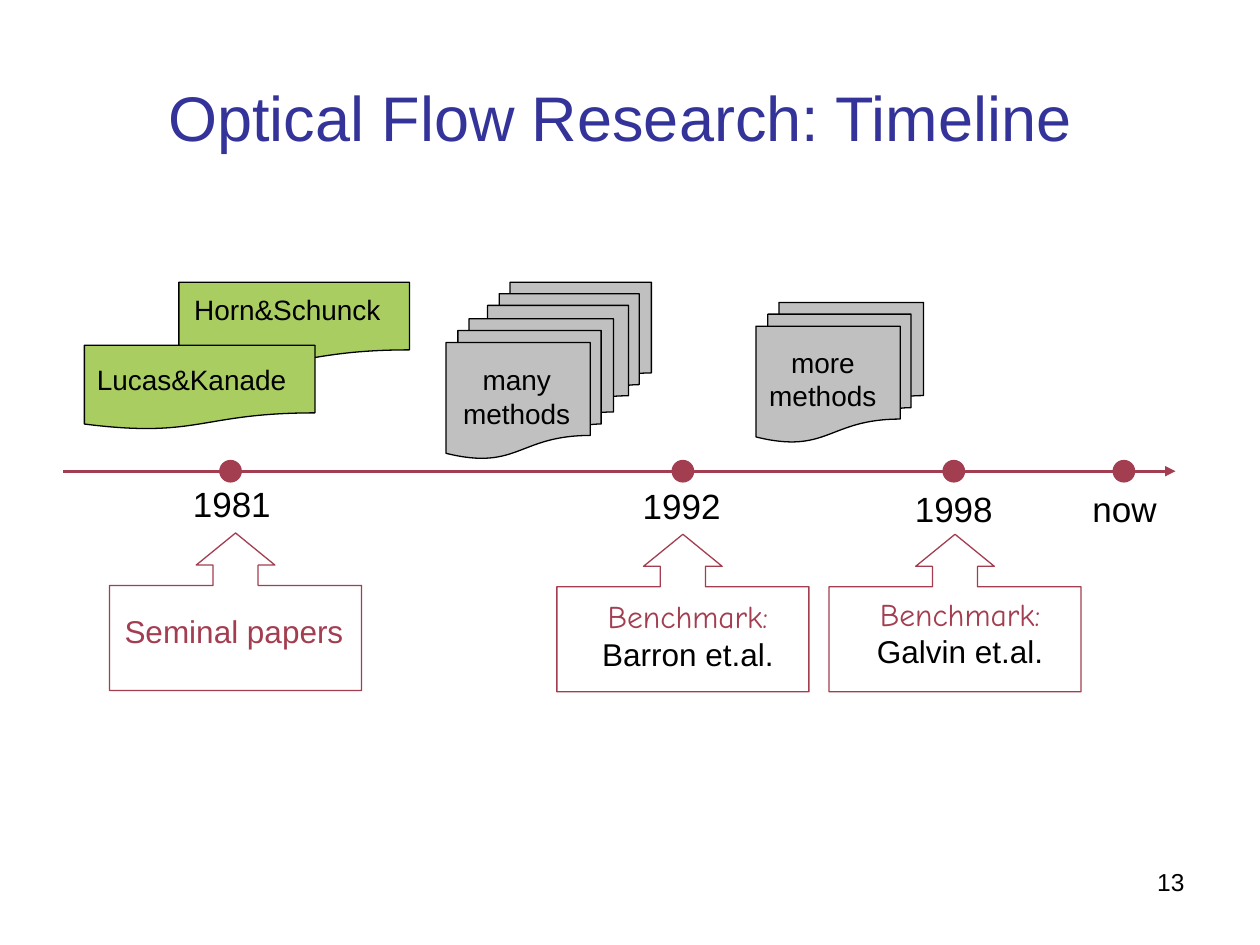
from dataclasses import dataclass

from lxml.etree import SubElement
from pptx import Presentation
from pptx.dml.color import RGBColor
from pptx.enum.shapes import MSO_CONNECTOR, MSO_SHAPE
from pptx.enum.text import MSO_ANCHOR, MSO_AUTO_SIZE, PP_ALIGN
from pptx.oxml.ns import qn
from pptx.util import Inches, Pt


@dataclass(frozen=True)
class Theme:
    font: str = "Arial"
    accent_font: str = "Comic Neue"
    title: RGBColor = RGBColor(0x33, 0x33, 0x99)
    accent: RGBColor = RGBColor(0xA3, 0x3D, 0x50)
    paper: RGBColor = RGBColor(0xA9, 0xCD, 0x61)
    stack: RGBColor = RGBColor(0xC0, 0xC0, 0xC0)
    ink: RGBColor = RGBColor(0, 0, 0)
    title_size: int = 36
    year_size: int = 20
    callout_size: int = 18
    paper_size: int = 16
    number_size: int = 14
    outline: float = 0.75
    axis: float = 1.5


THEME = Theme()


def add_text(slide, box, text, size, color=THEME.ink, align=PP_ALIGN.CENTER,
             wrap=False, anchor=MSO_ANCHOR.TOP):
    text_box = slide.shapes.add_textbox(*map(Inches, box))
    frame = text_box.text_frame
    frame.word_wrap = wrap
    frame.auto_size = MSO_AUTO_SIZE.NONE if wrap else MSO_AUTO_SIZE.SHAPE_TO_FIT_TEXT
    frame.vertical_anchor = anchor
    frame.text = text
    paragraph = frame.paragraphs[0]
    paragraph.alignment = align
    for run in paragraph.runs:
        run.font.name = THEME.font
        run.font.size = Pt(size)
        run.font.color.rgb = color
    return text_box


def add_outline_shape(slide, kind, box, fill=None, line=THEME.ink):
    shape = slide.shapes.add_shape(kind, *map(Inches, box))
    shape.shadow.inherit = False
    if fill is None:
        shape.fill.background()
    else:
        shape.fill.solid()
        shape.fill.fore_color.rgb = fill
    shape.line.color.rgb = line
    shape.line.width = Pt(THEME.outline)
    return shape


def add_title(slide, box):
    add_text(slide, box, "Optical Flow Research: Timeline", THEME.title_size,
             THEME.title, wrap=True, anchor=MSO_ANCHOR.MIDDLE)


def add_paper(slide, box, name, label_box):
    add_outline_shape(slide, MSO_SHAPE.FLOWCHART_DOCUMENT, box, THEME.paper)
    add_text(slide, label_box, name, THEME.paper_size)


def add_paper_stack(slide, boxes, label, label_box):
    for box in boxes:
        add_outline_shape(slide, MSO_SHAPE.FLOWCHART_MULTIDOCUMENT, box, THEME.stack)
    add_text(slide, label_box, label, THEME.paper_size, wrap=True)


def add_axis(slide, left, right, middle):
    axis = slide.shapes.add_connector(
        MSO_CONNECTOR.STRAIGHT, Inches(left), Inches(middle), Inches(right), Inches(middle))
    axis.line.color.rgb = THEME.accent
    axis.line.width = Pt(THEME.axis)
    SubElement(axis.line._get_or_add_ln(), qn("a:tailEnd"), type="triangle")
    SubElement(axis._element.spPr, qn("a:effectLst"))


def add_milestone(slide, center, middle, label, label_box):
    size = 0.17
    add_outline_shape(slide, MSO_SHAPE.OVAL,
                      (center - size / 2, middle - size / 2, size, size),
                      THEME.accent, THEME.accent)
    add_text(slide, label_box, label, THEME.year_size)


def add_callout(slide, box):
    callout = add_outline_shape(slide, MSO_SHAPE.UP_ARROW_CALLOUT, box, line=THEME.accent)
    for index, value in enumerate((0.286, 0.25, 0.204, 0.667)):
        callout.adjustments[index] = value


def add_seminal_callout(slide, box):
    add_callout(slide, box)
    left, top = box[:2]
    add_text(slide, (left + 0.02, top + 0.58, 1.94, 0.4), "Seminal papers",
             THEME.callout_size, THEME.accent, PP_ALIGN.LEFT)


def add_benchmark_callout(slide, box, authors, label_top):
    add_callout(slide, box)
    label = add_text(slide, (box[0] + 0.26, label_top, 1.56, 0.7),
                     f"Benchmark:\v{authors}", THEME.callout_size)
    heading = label.text_frame.paragraphs[0].runs[0]
    heading.font.name = THEME.accent_font
    heading.font.color.rgb = THEME.accent


def add_slide_number(slide, box):
    add_text(slide, box, "13", THEME.number_size, align=PP_ALIGN.RIGHT, wrap=True)


def main():
    presentation = Presentation()
    presentation.slide_width, presentation.slide_height = Inches(10), Inches(7.5)
    slide = presentation.slides.add_slide(presentation.slide_layouts[6])
    add_title(slide, (0.42, 0.57, 9, 0.7))

    # Papers above the axis
    add_paper(slide, (1.42, 2.24, 1.83, 0.67), "Horn&Schunck", (1.44, 2.27, 1.68, 0.37))
    add_paper(slide, (0.67, 2.74, 1.83, 0.67), "Lucas&Kanade", (0.62, 2.83, 1.8, 0.37))
    add_paper_stack(slide, [(3.87, 2.24, 1.3, 1.08), (3.54, 2.53, 1.33, 1.11)],
                    "many methods", (3.49, 2.83, 1.22, 0.64))
    add_paper_stack(slide, [(6, 2.4, 1.33, 1.11)],
                    "more methods", (5.92, 2.69, 1.22, 0.64))

    # Axis with its milestones
    axis_middle = 3.74
    add_axis(slide, 0.5, 9.33, axis_middle)
    for center, label, label_box in (
        (1.83, "1981", (1.43, 3.78, 0.82, 0.43)),
        (5.42, "1992", (5, 3.8, 0.82, 0.43)),
        (7.57, "1998", (7.16, 3.82, 0.82, 0.43)),
        (8.92, "now", (8.57, 3.82, 0.71, 0.43)),
    ):
        add_milestone(slide, center, axis_middle, label, label_box)

    # Callouts below the axis
    add_seminal_callout(slide, (0.87, 4.23, 2, 1.25))
    add_benchmark_callout(slide, (4.42, 4.24, 2, 1.25), "Barron et.al.", 4.69)
    add_benchmark_callout(slide, (6.58, 4.24, 2, 1.25), "Galvin et.al.", 4.67)

    add_slide_number(slide, (7.17, 6.83, 2.33, 0.52))
    presentation.save("out.pptx")


if __name__ == "__main__":
    main()
